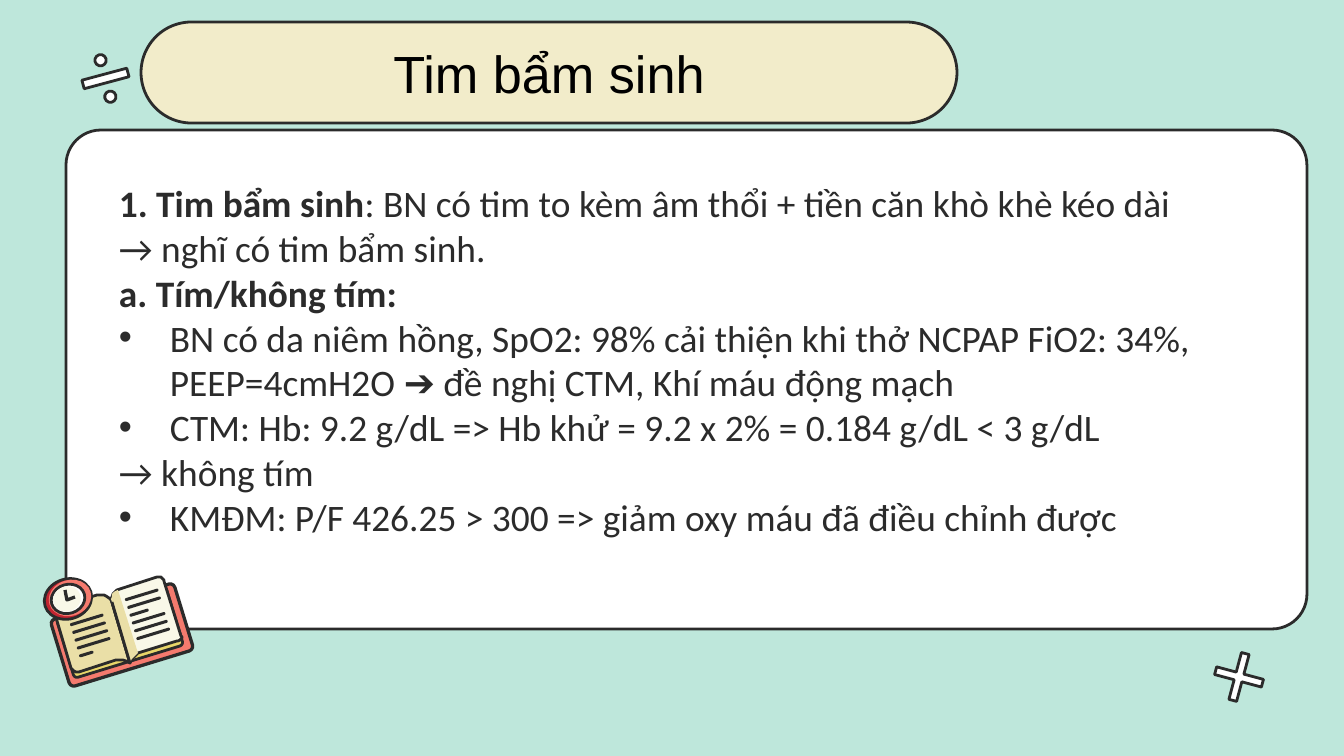
from math import cos, radians, sin

from lxml.etree import SubElement
from pptx import Presentation
from pptx.dml.color import RGBColor
from pptx.enum.shapes import MSO_SHAPE as Preset
from pptx.enum.text import MSO_ANCHOR as Anchor, PP_ALIGN as Align
from pptx.oxml.ns import qn
from pptx.util import Pt

PX = 914400 / 134.4
COLORS = {
    "mint": "BEE7DB", "ink": "2B2B2B", "white": "FFFFFF", "sand": "F2ECCA",
    "black": "000000", "coral": "F47A6E", "crimson": "C32430",
    "gold": "E8D669", "straw": "EADFA7", "cream": "F9F8E8",
}

TITLE = "Tim bẩm sinh"
# (bulleted, [(text, bold), ...])
BODY = [
    (False, [("1. Tim bẩm sinh", True),
             (": BN có tim to kèm âm thổi + tiền căn khò khè kéo dài", False)]),
    (False, [("→ nghĩ có tim bẩm sinh.", False)]),
    (False, [("a. Tím/không tím:", True)]),
    (True, [("BN có da niêm hồng, SpO2: 98% cải thiện khi thở NCPAP FiO2: 34%, "
             "PEEP=4cmH2O ➔ đề nghị CTM, Khí máu động mạch", False)]),
    (True, [("CTM: Hb: 9.2 g/dL => Hb khử = 9.2 x 2% = 0.184 g/dL < 3 g/dL", False)]),
    (False, [("→ không tím", False)]),
    (True, [("KMĐM: P/F 426.25 > 300 => giảm oxy máu đã điều chỉnh được", False)]),
]

# Book and clock: centre x, centre y, width, height
TILT = -17
COVER = (122, 635, 129, 70)
PAPER = (120, 632, 114, 62)
CLOCK = [
    ((68, 599, 48, 40), "crimson", 1.5),
    ((70, 598, 43, 36), "coral", 0),
    ((68, 599, 34, 29), "white", 1.5),
    ((67, 599, 28, 25), "cream", 0),
]
HANDS = [(65, 590), (67, 600), (75, 597)]
# Page outlines: two numbers are a corner, six are a Bezier curve
LEFT_PAGE = [(59, 607), (56, 608, 54, 611, 55, 614), (71, 668),
             (73, 671, 75, 672, 79, 672), (116, 660),
             (121, 659, 126, 660, 130, 663), (112, 602),
             (110, 597, 104, 594, 97, 595)]
RIGHT_PAGE = [(120, 589), (114, 590, 110, 597, 112, 602), (130, 663),
              (132, 659, 134, 656, 138, 653), (177, 641),
              (180, 641, 183, 638, 181, 636), (164, 581),
              (164, 578, 161, 577, 157, 577)]
FOLD = [(118, 590), (113, 591, 110, 597, 112, 602), (130, 663),
        (132, 659, 134, 656, 138, 653)]
# Start of the first written line, then the line lengths
WRITING = [((70, 625), [35, 35, 35, 35, 15]),
           ((125, 600), [35, 35, 20, 35, 35, 35])]
WRITING_STEP = (2.3, 7.8)


def emu(pixels):
    return round(pixels * PX)


def color(name):
    return RGBColor.from_string(COLORS[name])


def paint(shape, fill, line=1.5):
    """Set fill and ink outline; a line of 0 means none."""
    shape.shadow.inherit = False
    if fill:
        shape.fill.solid()
        shape.fill.fore_color.rgb = color(fill)
    else:
        shape.fill.background()
    if line:
        shape.line.color.rgb = color("ink")
        shape.line.width = Pt(line)
    else:
        shape.line.fill.background()


def add_preset(preset, area, fill, adjust=(), angle=0, line=1.5):
    shape = page.shapes.add_shape(preset, *map(emu, area))
    for index, value in enumerate(adjust):
        shape.adjustments[index] = value
    shape.rotation = angle
    paint(shape, fill, line)
    return shape


def add_tilted(preset, place, fill, adjust=(), line=1.5):
    x, y, width, height = place
    area = (x - width / 2, y - height / 2, width, height)
    return add_preset(preset, area, fill, adjust, TILT, line)


def flatten(outline, steps=6):
    """Turn corners and Bezier curves into a list of points."""
    points = []
    for part in outline:
        if len(part) == 2:
            points.append(part)
            continue
        controls = [points[-1], part[:2], part[2:4], part[4:]]
        for step in range(1, steps + 1):
            t = step / steps
            weights = ((1 - t) ** 3, 3 * t * (1 - t) ** 2, 3 * t * t * (1 - t), t ** 3)
            points.append(tuple(sum(w * c[axis] for w, c in zip(weights, controls))
                                for axis in (0, 1)))
    return points


def add_outline(outline, fill, line=1.5):
    start, *rest = flatten(outline)
    builder = page.shapes.build_freeform(*start, scale=PX)
    builder.add_line_segments(rest, close=bool(fill))
    paint(builder.convert_to_shape(), fill, line)


def set_frame(frame, bottom=13):
    frame.word_wrap = True
    frame.vertical_anchor = Anchor.MIDDLE
    frame.margin_left = frame.margin_right = frame.margin_top = emu(13)
    frame.margin_bottom = emu(bottom)


def set_font(para, name, size, tone):
    para.font.name = name
    para.font.size = Pt(size)
    para.font.color.rgb = color(tone)


def set_indent(para, bulleted):
    props = para._p.get_or_add_pPr()
    props.set("marL", str(emu(71 if bulleted else 20)))
    props.set("indent", str(emu(-51 if bulleted else 0)))
    if bulleted:
        tint = SubElement(props, qn("a:buClr"))
        SubElement(tint, qn("a:srgbClr"), val=COLORS["ink"])
        SubElement(props, qn("a:buFont"), typeface="Arial")
        SubElement(props, qn("a:buChar"), char="•")


def add_body():
    box = page.shapes.add_textbox(*map(emu, (86, 118, 1208, 528)))
    frame = box.text_frame
    set_frame(frame, bottom=58)
    for index, (bulleted, spans) in enumerate(BODY):
        para = frame.add_paragraph() if index else frame.paragraphs[0]
        set_indent(para, bulleted)
        set_font(para, "Calibri", 20, "ink")
        for text, bold in spans:
            span = para.add_run()
            span.text = text
            span.font.bold = bold


def add_book():
    add_tilted(Preset.ROUNDED_RECTANGLE, COVER, "coral", [0.07], 1.75)
    add_tilted(Preset.ROUNDED_RECTANGLE, PAPER, "gold", [0.06])
    add_outline(LEFT_PAGE, "straw")
    add_outline(RIGHT_PAGE, "cream")
    add_outline(FOLD, "straw", 0)
    add_outline([(112, 602), (130, 663)], None)
    for place, fill, line in CLOCK:
        add_tilted(Preset.OVAL, place, fill, line=line)
    add_outline(HANDS, None, 1.75)
    for (left, top), lengths in WRITING:
        for row, length in enumerate(lengths):
            x = left + row * WRITING_STEP[0] + length / 2 * cos(radians(TILT))
            y = top + row * WRITING_STEP[1] + length / 2 * sin(radians(TILT))
            add_tilted(Preset.ROUNDED_RECTANGLE, (x, y, length, 3), "ink", [0.5], 0)


def add_title():
    pill = add_preset(Preset.ROUNDED_RECTANGLE, (141, 22, 816, 101), "sand", [0.5])
    set_frame(pill.text_frame)
    para = pill.text_frame.paragraphs[0]
    para.text = TITLE
    para.alignment = Align.CENTER
    set_font(para, "Arial", 28, "black")


deck = Presentation()
deck.slide_width, deck.slide_height = emu(1344), emu(756)
page = deck.slides.add_slide(deck.slide_layouts[6])
page.background.fill.solid()
page.background.fill.fore_color.rgb = color("mint")

add_preset(Preset.MATH_PLUS, (1206, 644, 66, 66), "white", [0.12], 15)
add_preset(Preset.MATH_DIVIDE, (74, 47, 63, 63), "white", [0.14, 0.14, 0.09], -15)
add_preset(Preset.ROUNDED_RECTANGLE, (66, 130, 1241, 499), "white", [0.07])
add_body()
add_book()
add_title()
deck.save("out.pptx")
